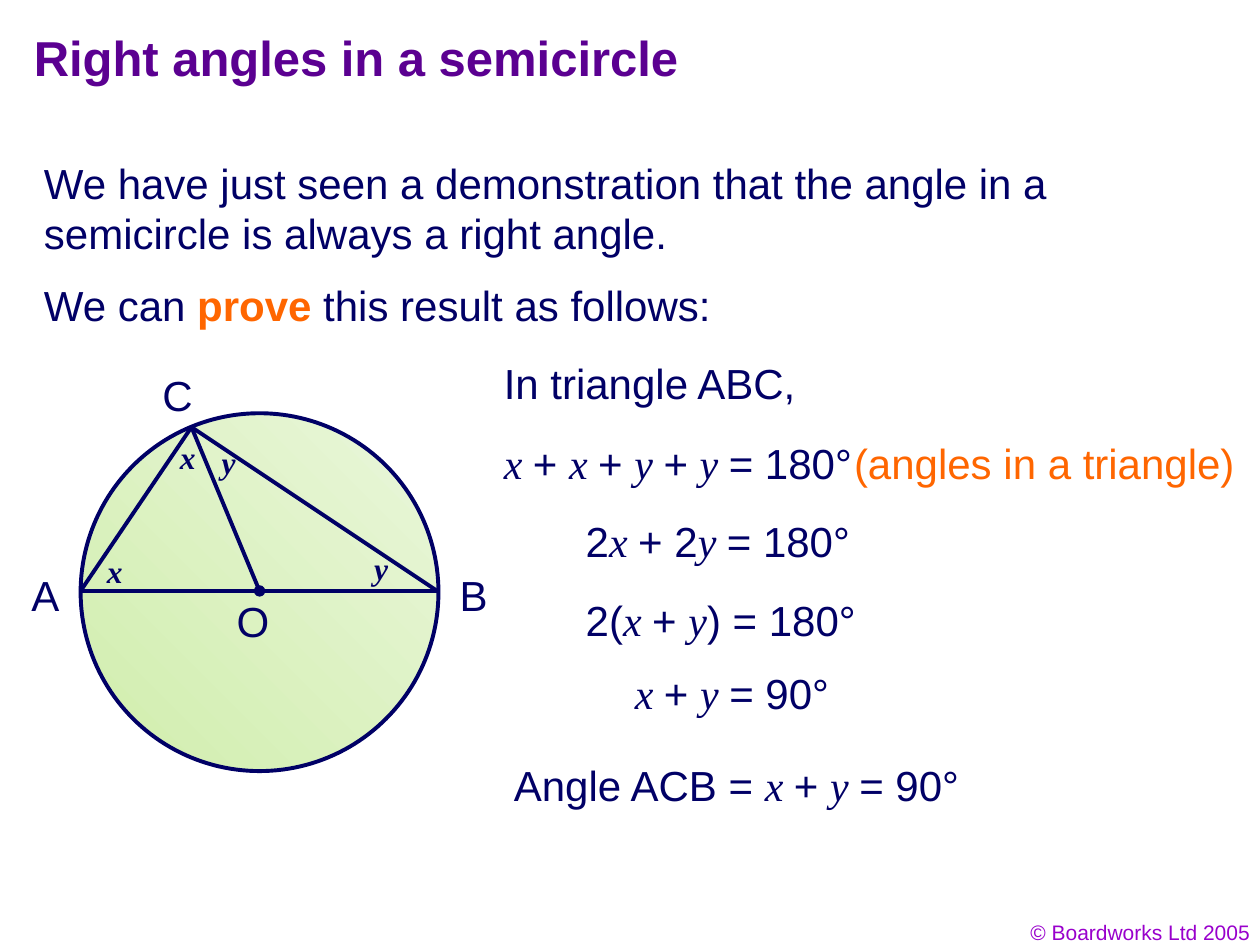
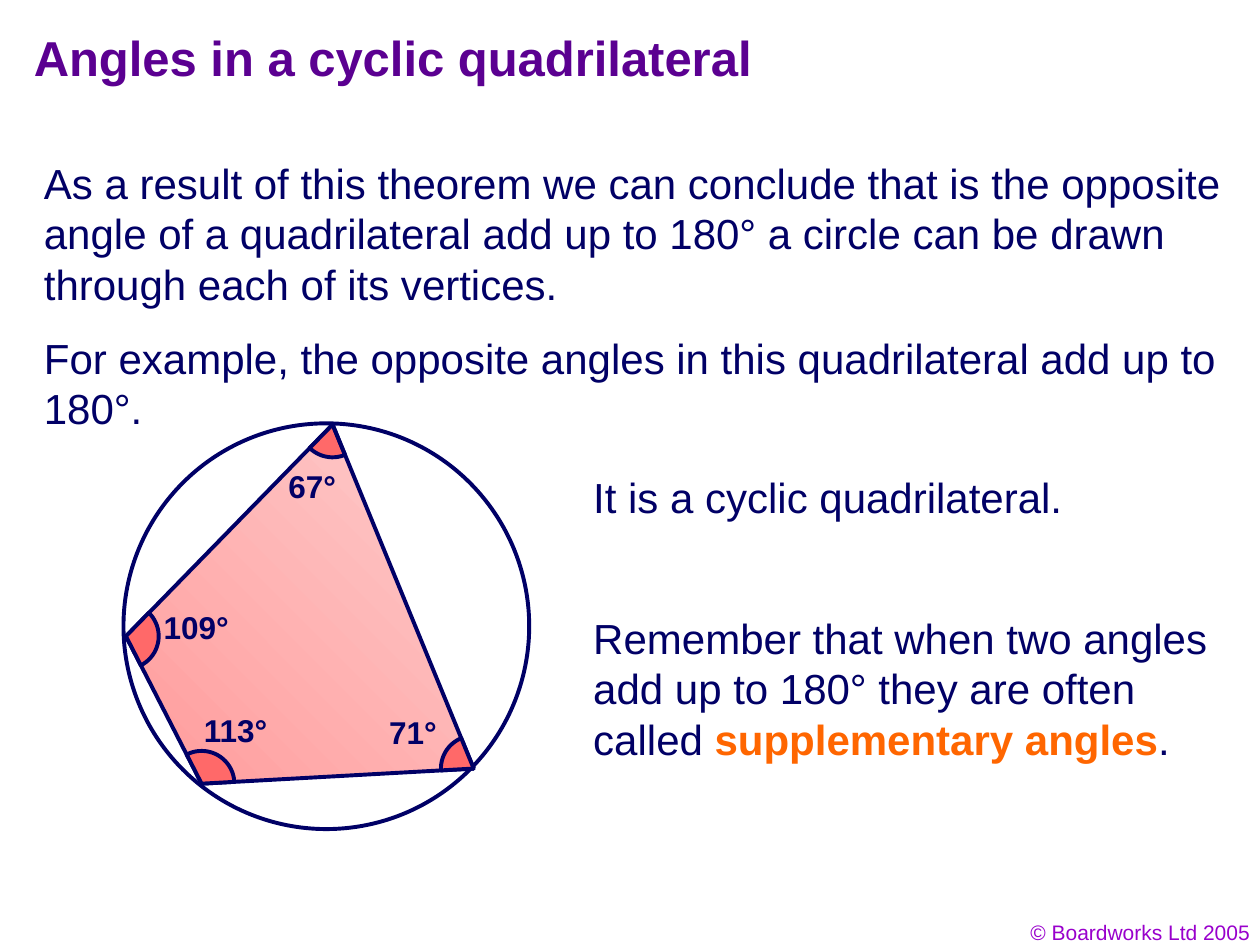
from dataclasses import dataclass
from math import atan2, cos, pi, sin

from lxml import etree
from pptx import Presentation
from pptx.dml.color import RGBColor
from pptx.enum.shapes import MSO_CONNECTOR, MSO_SHAPE
from pptx.enum.text import PP_ALIGN
from pptx.oxml.ns import qn
from pptx.util import Inches, Pt

# Shared look
INK, LINE, TITLE = "010066", "000066", "5B0091"
ORANGE, FOOT = "FF6600", "9900CC"
GREEN, PINK, RED = ("EAF6DB", "D0EEAC"), ("FECDCD", "FF9B9B"), "FF6969"
SANS, SERIF = "Arial", "Times New Roman"
MATH = dict(font=SERIF, italic=True)
KEY = dict(color=ORANGE, bold=True)
Point = tuple[float, float]


@dataclass
class Label:
    """Text at a place; parts between asterisks take the mark format."""
    text: str
    left: float
    top: float
    width: float
    height: float = 0.5


@dataclass
class Corner:
    """A vertex of the quadrilateral with its angle label."""
    at: Point
    label: Label


def rgb(code: str) -> RGBColor:
    return RGBColor.from_string(code)


def style(run, font=SANS, size=24, color=INK, bold=False, italic=False) -> None:
    run.font.name, run.font.size = font, Pt(size)
    run.font.bold, run.font.italic = bold, italic
    run.font.color.rgb = rgb(color)


def write(slide, label: Label, mark=None, align=PP_ALIGN.LEFT, **form) -> None:
    box = slide.shapes.add_textbox(Inches(label.left), Inches(label.top),
                                   Inches(label.width), Inches(label.height))
    box.text_frame.word_wrap = True
    para = box.text_frame.paragraphs[0]
    para.alignment = align
    for i, part in enumerate(label.text.split("*")):
        if part:
            run = para.add_run()
            run.text = part
            style(run, **(form | (mark or {}) if i % 2 else form))


def paint(shape, fill=None, line: str | None = LINE, width=2.25) -> None:
    """Fill with a hex colour, a pair of gradient colours, or nothing."""
    shape.shadow.inherit = False
    if fill is None:
        shape.fill.background()
    elif isinstance(fill, tuple):
        shape.fill.gradient()
        shape.fill.gradient_angle = 225
        for stop, code in zip(shape.fill.gradient_stops, fill):
            stop.color.rgb = rgb(code)
    else:
        shape.fill.solid()
        shape.fill.fore_color.rgb = rgb(fill)
    if line:
        shape.line.color.rgb, shape.line.width = rgb(line), Pt(width)
    else:
        shape.line.fill.background()


def disc(slide, left: float, top: float, size: float, **look) -> None:
    shape = slide.shapes.add_shape(MSO_SHAPE.OVAL, Inches(left), Inches(top),
                                   Inches(size), Inches(size))
    paint(shape, **look)


def join(slide, start: Point, end: Point) -> None:
    line = slide.shapes.add_connector(MSO_CONNECTOR.STRAIGHT,
                                      *(Inches(v) for v in start + end))
    line.line.color.rgb, line.line.width = rgb(LINE), Pt(2.25)
    etree.SubElement(line._element.spPr, qn("a:effectLst"))


def outline(slide, points: list[Point], **look) -> None:
    spots = [(Inches(x), Inches(y)) for x, y in points]
    build = slide.shapes.build_freeform(*spots[0])
    build.add_line_segments(spots[1:], close=True)
    paint(build.convert_to_shape(), **look)


def wedge(slide, tip: Point, prev: Point, succ: Point) -> None:
    """Mark the angle at tip between its two neighbours."""
    radius, steps = 0.26, 20
    first = atan2(prev[1] - tip[1], prev[0] - tip[0])
    last = atan2(succ[1] - tip[1], succ[0] - tip[0])
    sweep = (last - first + pi) % (2 * pi) - pi
    turns = [first + sweep * i / steps for i in range(steps + 1)]
    arc = [(tip[0] + radius * cos(t), tip[1] + radius * sin(t)) for t in turns]
    outline(slide, [tip] + arc, fill=RED)


def start(deck, title: str):
    """Add a slide with the shared footer and title."""
    slide = deck.slides.add_slide(deck.slide_layouts[6])
    write(slide, Label("© Boardworks Ltd 2005", 7.69, 7.25, 2.33, 0.3),
          align=PP_ALIGN.RIGHT, size=12, color=FOOT)
    write(slide, Label(title, 0.17, 0.17, 8.5, 0.67), size=28, color=TITLE, bold=True)
    return slide


def proof(deck) -> None:
    slide = start(deck, "Right angles in a semicircle")
    for label in (
        Label("We have just seen a demonstration that the angle in a semicircle "
              "is always a right angle.", 0.25, 1.2, 9.55, 0.9),
        Label("We can *prove* this result as follows:", 0.25, 2.17, 9.55),
    ):
        write(slide, label, mark=KEY)

    # Circle with triangle ABC and centre O
    a, b, c, o = (0.64, 4.69), (3.47, 4.69), (1.52, 3.39), (2.06, 4.69)
    disc(slide, 0.64, 3.28, 2.84, fill=GREEN)
    for ends in ((a, b), (a, c), (c, b), (c, o)):
        join(slide, *ends)
    disc(slide, o[0] - 0.04, o[1] - 0.04, 0.08, fill=LINE, width=0.75)
    for name, left, top in (("A", 0.15, 4.47), ("B", 3.55, 4.47),
                            ("C", 1.19, 2.88), ("O", 1.78, 4.68)):
        write(slide, Label(name, left, top, 0.5))
    for name, left, top in (("x", 1.33, 3.43), ("x", 0.75, 4.33),
                            ("y", 1.66, 3.47), ("y", 2.87, 4.31)):
        write(slide, Label(name, left, top, 0.35, 0.4), size=18, bold=True, **MATH)

    # Steps of the proof
    for label in (
        Label("In triangle ABC,", 3.9, 2.79, 2.6),
        Label("*x *+ *x *+ *y *+ *y *= 180°", 3.9, 3.42, 3.1),
        Label("2*x *+ 2*y *= 180°", 4.55, 4.04, 2.45),
        Label("2(*x *+ *y*) = 180°", 4.55, 4.67, 2.45),
        Label("*x *+ *y *= 90°", 4.94, 5.25, 1.9),
        Label("Angle ACB = *x *+ *y *= 90°", 3.98, 5.98, 4),
    ):
        write(slide, label, mark=MATH)
    write(slide, Label("(angles in a triangle)", 6.68, 3.42, 3.3), color=ORANGE)


def cyclic(deck) -> None:
    slide = start(deck, "Angles in a cyclic quadrilateral")
    for label in (
        Label("As a result of this theorem we can conclude that is the opposite angle "
              "of a quadrilateral add up to 180° a circle can be drawn through each "
              "of its vertices.", 0.25, 1.2, 9.55, 1.3),
        Label("For example, the opposite angles in this quadrilateral add up to 180°.",
              0.25, 2.59, 9.55, 0.9),
        Label("It is a cyclic quadrilateral.", 4.61, 3.69, 4.1),
        Label("Remember that when two angles add up to 180° they are often called "
              "*supplementary angles*.", 4.61, 4.81, 5.28, 1.3),
    ):
        write(slide, label, mark=KEY)

    # Quadrilateral in its circle
    corners = [
        Corner((2.64, 3.37), Label("67°", 2.19, 3.66, 0.65, 0.4)),
        Corner((1.0, 5.05), Label("109°", 1.2, 4.78, 0.8, 0.4)),
        Corner((1.6, 6.22), Label("113°", 1.52, 5.59, 0.8, 0.4)),
        Corner((3.76, 6.1), Label("71°", 2.99, 5.61, 0.65, 0.4)),
    ]
    spots = [corner.at for corner in corners]
    disc(slide, 0.98, 3.36, 3.22)
    outline(slide, spots, fill=PINK, line=None)
    for i, corner in enumerate(corners):
        succ = spots[(i + 1) % len(spots)]
        join(slide, corner.at, succ)
        wedge(slide, corner.at, spots[i - 1], succ)
        write(slide, corner.label, size=18, bold=True)


def main() -> None:
    deck = Presentation()
    deck.slide_width, deck.slide_height = Inches(10), Inches(7.5)
    proof(deck)
    cyclic(deck)
    deck.save("out.pptx")


if __name__ == "__main__":
    main()
